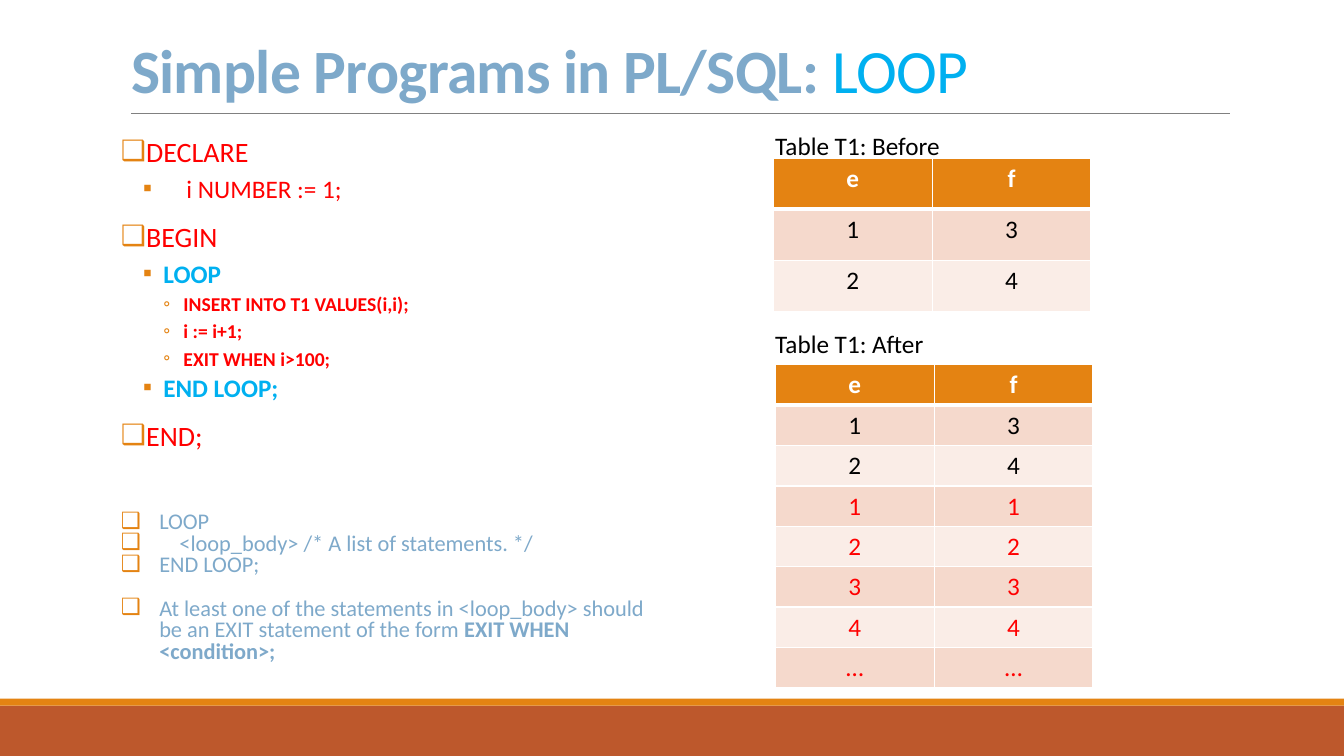
from lxml.etree import SubElement
from pptx import Presentation
from pptx.dml.color import RGBColor
from pptx.enum.shapes import MSO_CONNECTOR, MSO_SHAPE
from pptx.enum.text import MSO_ANCHOR, MSO_AUTO_SIZE, PP_ALIGN
from pptx.oxml.ns import qn
from pptx.util import Inches, Pt

THEME = {
    "font": "Calibri",
    "orange": "E48312", "rust": "BD582C", "steel": "7EA9CA", "sky": "00B0F0",
    "red": "FF0000", "black": "000000", "white": "FFFFFF", "grey": "808080",
    "bands": ["FAEDE7", "F5D9CC"],
    "title": 44, "level sizes": [20, 18, 14], "syntax": 16, "table": 18,
}

presentation = Presentation()
presentation.slide_width, presentation.slide_height = Inches(13.333), Inches(7.5)
slide = presentation.slides.add_slide(presentation.slide_layouts[1])
shapes = slide.shapes


def frame(*percents):
    """Turn left, top, width, height in percent of the slide into lengths."""
    sides = (presentation.slide_width, presentation.slide_height) * 2
    return [int(side * percent / 100) for side, percent in zip(sides, percents)]


def add_run(paragraph, text, size, color, bold=False):
    run = paragraph.add_run()
    run.text = text
    run.font.name = THEME["font"]
    run.font.size = Pt(size)
    run.font.bold = bold
    run.font.color.rgb = RGBColor.from_string(THEME[color])
    return run


# Footer bars
for color, top, height in [("rust", 93.33, 6.67), ("orange", 92.4, 0.93)]:
    bar = shapes.add_shape(MSO_SHAPE.RECTANGLE, *frame(0, top, 100, height))
    bar.shadow.inherit = False
    bar.fill.solid()
    bar.fill.fore_color.rgb = RGBColor.from_string(THEME[color])
    bar.line.fill.background()

# Rule under the title
rule = shapes.add_connector(MSO_CONNECTOR.STRAIGHT, *frame(9.75, 14.93, 91.5, 14.93))
rule.line.color.rgb = RGBColor.from_string(THEME["grey"])
rule.line.width = Pt(0.5)
SubElement(rule._element.spPr, qn("a:effectLst"))

# Title
title = shapes.title
title.left, title.top, title.width, title.height = frame(9, 1.47, 82.5, 13.2)
title.text_frame.auto_size = MSO_AUTO_SIZE.NONE
title.text_frame.vertical_anchor = MSO_ANCHOR.BOTTOM
paragraph = title.text_frame.paragraphs[0]
paragraph.alignment = PP_ALIGN.LEFT
paragraph.line_spacing = 0.85
for text, color, bold in [("Simple Programs in PL/SQL: ", "steel", True), ("LOOP", "sky", False)]:
    run = add_run(paragraph, text, THEME["title"], color, bold)
    run._r.get_or_add_rPr().set("spc", "-50")

# Code and syntax list: level, bullet, margin, hang, space before, space after
CODE = (0, "❑", 0.1, 0.2, 12, 6)
STATEMENT = (1, "▪", 0.42, 0.2, 2, 4)
DECLARATION = (1, "▪", 0.65, 0.43, 2, 4)
LOOP_STEP = (2, "◦", 0.62, 0.2, 2, 4)
SYNTAX = (0, "❑", 0.38, 0.38, 0, 0)
SYNTAX_START = (0, "❑", 0.38, 0.38, 37.5, 0)
SYNTAX_BODY = (0, "❑", 0.58, 0.58, 0, 0)
SYNTAX_NOTE = (0, "❑", 0.38, 0.38, 15.5, 0)
lines = [
    (CODE, [("DECLARE", "red", False)]),
    (DECLARATION, [("i NUMBER := 1;", "red", False)]),
    (CODE, [("BEGIN", "red", False)]),
    (STATEMENT, [("LOOP", "sky", True)]),
    (LOOP_STEP, [("INSERT INTO T1 VALUES(i,i);", "red", True)]),
    (LOOP_STEP, [("i := i+1;", "red", True)]),
    (LOOP_STEP, [("EXIT WHEN i>100;", "red", True)]),
    (STATEMENT, [("END LOOP;", "sky", True)]),
    (CODE, [("END;", "red", False)]),
    (SYNTAX_START, [("LOOP", "steel", False)]),
    (SYNTAX_BODY, [("<loop_body> /* A list of statements. */", "steel", False)]),
    (SYNTAX, [("END LOOP;", "steel", False)]),
    (SYNTAX_NOTE, [("At least one of the statements in <loop_body> should be an EXIT "
                    "statement of the form ", "steel", False),
                   ("EXIT WHEN <condition>;", "steel", True)]),
]
body = slide.placeholders[1]
body.left, body.top, body.width, body.height = frame(9, 18, 39.45, 71.47)
text_frame = body.text_frame
text_frame.auto_size = MSO_AUTO_SIZE.NONE
text_frame.margin_left = text_frame.margin_right = 0
for index, (style, runs) in enumerate(lines):
    level, bullet, margin, hang, before, after = style
    paragraph = text_frame.add_paragraph() if index else text_frame.paragraphs[0]
    paragraph.level = level
    paragraph.line_spacing = 0.8
    paragraph.space_before, paragraph.space_after = Pt(before), Pt(after)
    properties = paragraph._p.get_or_add_pPr()
    properties.set("marL", str(Inches(margin)))
    properties.set("indent", str(-Inches(hang)))
    bullet_color = SubElement(properties, qn("a:buClr"))
    SubElement(bullet_color, qn("a:srgbClr"), val=THEME["orange"])
    SubElement(properties, qn("a:buFont"), typeface=THEME["font"])
    SubElement(properties, qn("a:buChar"), char=bullet)
    for text, color, bold in runs:
        size = THEME["syntax"] if color == "steel" else THEME["level sizes"][level]
        add_run(paragraph, text, size, color, bold)

# Tables before and after the loop, each under its caption
rows_before = [("e", "f"), ("1", "3"), ("2", "4")]
rows_added = [(value, value) for value in ("1", "2", "3", "4", "…")]
tables = [
    ("Table T1: Before", 16.53, (57.54, 20.93, 23.64, 20.27), rows_before),
    ("Table T1: After", 42.8, (57.69, 48.27, 23.64, 42.67), rows_before + rows_added),
]
for caption, caption_top, area, rows in tables:
    table_shape = shapes.add_table(len(rows), 2, *frame(*area))
    for row_index, values in enumerate(rows):
        header = row_index == 0
        if header:
            fill, color = THEME["orange"], "white"
        else:
            fill = THEME["bands"][row_index % 2]
            color = "black" if row_index < len(rows_before) else "red"
        for column_index, value in enumerate(values):
            cell = table_shape.table.cell(row_index, column_index)
            paragraph = cell.text_frame.paragraphs[0]
            paragraph.alignment = PP_ALIGN.CENTER
            add_run(paragraph, value, THEME["table"], color, header)
            # Borders come before the fill in the cell properties
            cell_properties = cell._tc.get_or_add_tcPr()
            for side in ("lnL", "lnR", "lnT", "lnB"):
                thick = (header and side == "lnB") or (row_index == 1 and side == "lnT")
                border = SubElement(cell_properties, qn(f"a:{side}"), w=str(Pt(3 if thick else 1)))
                border_fill = SubElement(border, qn("a:solidFill"))
                SubElement(border_fill, qn("a:srgbClr"), val=THEME["white"])
            cell.fill.solid()
            cell.fill.fore_color.rgb = RGBColor.from_string(fill)

    caption_box = shapes.add_textbox(*frame(56.94, caption_top, 14.78, 5.33))
    caption_box.text_frame.word_wrap = True
    add_run(caption_box.text_frame.paragraphs[0], caption, THEME["table"], "black")

presentation.save("out.pptx")
